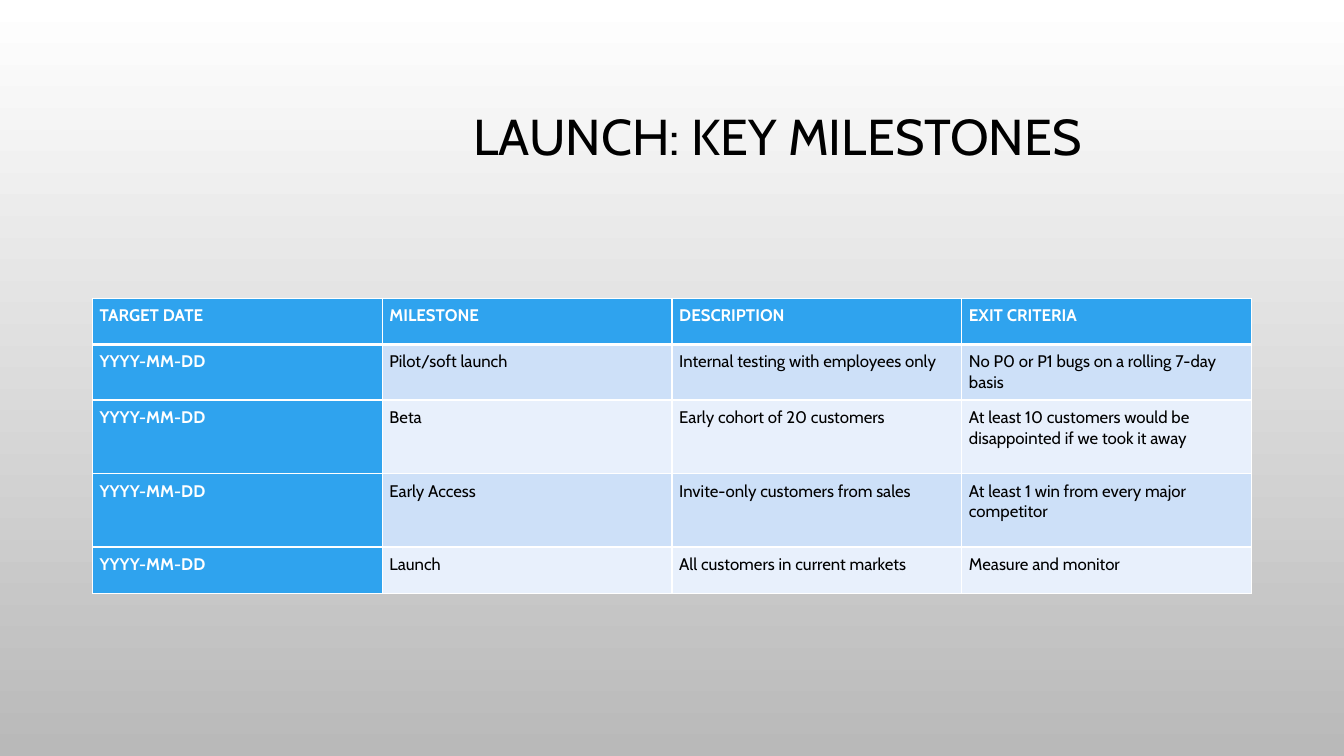
import dataclasses

import lxml.etree
import pptx
import pptx.dml.color
import pptx.enum.text
import pptx.oxml.ns
import pptx.util

Pt = pptx.util.Pt


@dataclasses.dataclass(frozen=True)
class Theme:
    font: str = "Cabin"
    title_size: float = 36
    table_size: float = 12
    text: str = "000000"
    white: str = "FFFFFF"
    grey: str = "B9B9B9"
    accent: str = "2FA3EE"
    bands: tuple = ("CDE0F8", "E8F0FC")


def rgb(value):
    return pptx.dml.color.RGBColor.from_string(value)


class Deck:
    def __init__(self, prs, theme):
        self.theme = theme
        self.slide = prs.slides.add_slide(prs.slide_layouts[5])

    def background(self):
        fill = self.slide.background.fill
        fill.gradient()
        fill.gradient_angle = 270
        colors = (self.theme.white, self.theme.grey)
        for i, (stop, color) in enumerate(zip(fill.gradient_stops, colors)):
            stop.position = i
            stop.color.rgb = rgb(color)

    def style(self, p, size, color, bold=False):
        for r in p.runs:
            r.font.name = self.theme.font
            r.font.size = Pt(size)
            r.font.bold = bold
            r.font.color.rgb = rgb(color)

    def title(self, text, left, top, width, height):
        sp = self.slide.shapes.title
        sp.left, sp.top, sp.width, sp.height = map(Pt, (left, top, width, height))
        tf = sp.text_frame
        tf.text = text
        tf.word_wrap = True
        tf.auto_size = pptx.enum.text.MSO_AUTO_SIZE.NONE
        tf.vertical_anchor = pptx.enum.text.MSO_ANCHOR.MIDDLE
        p = tf.paragraphs[0]
        p.alignment = pptx.enum.text.PP_ALIGN.CENTER
        p.line_spacing = 0.9
        self.style(p, self.theme.title_size, self.theme.text)

    def border(self, cell, side, width):
        qn = pptx.oxml.ns.qn
        tc_pr = cell._tc.get_or_add_tcPr()
        ln = lxml.etree.SubElement(tc_pr, qn(f"a:ln{side}"), w=str(Pt(width)))
        fill = lxml.etree.SubElement(ln, qn("a:solidFill"))
        lxml.etree.SubElement(fill, qn("a:srgbClr"), val=self.theme.white)

    def cell(self, cell, text, row, col):
        header = row == 0 or col == 0
        widths = {"L": 1, "R": 1, "T": 3 if row == 1 else 1, "B": 3 if row == 0 else 1}
        for side, width in widths.items():
            self.border(cell, side, width)
        cell.fill.solid()
        band = self.theme.bands[(row - 1) % 2]
        cell.fill.fore_color.rgb = rgb(self.theme.accent if header else band)
        cell.margin_left = cell.margin_right = Pt(5.2)
        cell.margin_top = cell.margin_bottom = Pt(5.2)
        cell.text_frame.text = text
        color = self.theme.white if header else self.theme.text
        self.style(cell.text_frame.paragraphs[0], self.theme.table_size, color, header)

    def table(self, rows, left, top, col_width, heights):
        cols = len(rows[0])
        frame = self.slide.shapes.add_table(
            len(rows), cols, Pt(left), Pt(top), Pt(cols * col_width), Pt(sum(heights))
        )
        table = frame.table
        for column in table.columns:
            column.width = Pt(col_width)
        for i, (texts, height) in enumerate(zip(rows, heights)):
            table.rows[i].height = Pt(height)
            for j, text in enumerate(texts):
                self.cell(table.cell(i, j), text, i, j)


def main():
    prs = pptx.Presentation()
    prs.slide_width, prs.slide_height = Pt(960), Pt(540)
    deck = Deck(prs, Theme())
    deck.background()
    deck.title("LAUNCH: KEY MILESTONES", 204.5, 49, 702, 101)
    date = "YYYY-MM-DD"
    milestones = [
        ("TARGET DATE", "MILESTONE", "DESCRIPTION", "EXIT CRITERIA"),
        (date, "Pilot/soft launch", "Internal testing with employees only",
         "No P0 or P1 bugs on a rolling 7-day basis"),
        (date, "Beta", "Early cohort of 20 customers",
         "At least 10 customers would be disappointed if we took it away"),
        (date, "Early Access", "Invite-only customers from sales",
         "At least 1 win from every major competitor"),
        (date, "Launch", "All customers in current markets", "Measure and monitor"),
    ]
    deck.table(milestones, 66, 213, 207, (33, 33, 52.5, 52.5, 33))
    prs.save("out.pptx")


if __name__ == "__main__":
    main()
